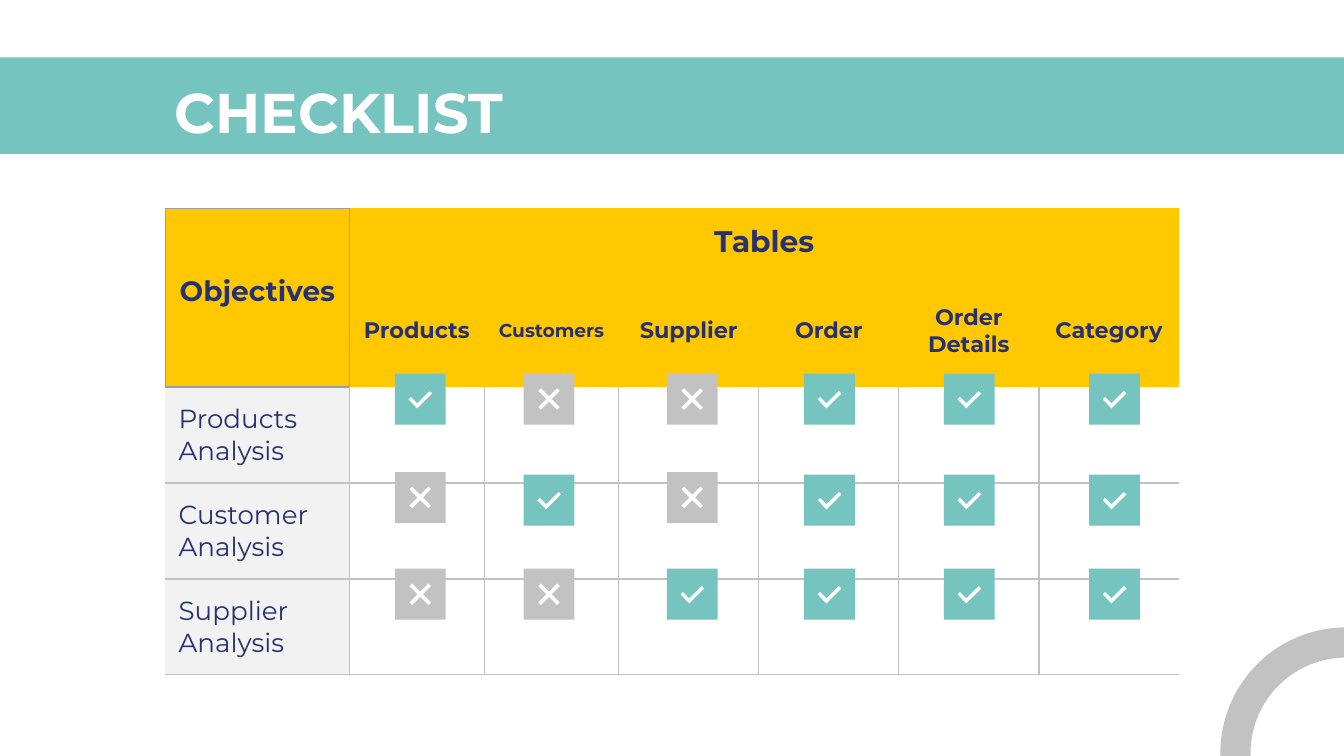
from lxml.etree import SubElement
from pptx import Presentation
from pptx.dml.color import RGBColor
from pptx.enum.shapes import MSO_SHAPE
from pptx.enum.text import MSO_ANCHOR, MSO_AUTO_SIZE, PP_ALIGN
from pptx.oxml.ns import qn
from pptx.util import Pt

COLORS = {"teal": "75C4C0", "gray": "C2C2C2", "dark_gray": "9E9E9E", "yellow": "FFC800",
          "pale": "F2F2F2", "navy": "27316F", "white": "FFFFFF"}
FONT = "Montserrat"

# Icon outlines: the check is measured from the tile corner, the cross from its centre
TILE = 27.3
CHECK = [(18.75, 9.3), (12.1, 15.9), (8.7, 12.5), (7.4, 13.8), (12.1, 18.6), (20.1, 10.65)]
ARM, NOTCH = 5.75, 1.4
TIP = ARM - NOTCH
CROSS = [(TILE / 2 + x, TILE / 2 + y) for x, y in [
    (-TIP, -ARM), (-ARM, -TIP), (-NOTCH, 0), (-ARM, TIP), (-TIP, ARM), (0, NOTCH),
    (TIP, ARM), (ARM, TIP), (NOTCH, 0), (ARM, -TIP), (TIP, -ARM), (0, -NOTCH)]]


def rgb(name):
    return RGBColor.from_string(COLORS[name])


def write(tf, text, size=12, color="navy", bold=True, align=PP_ALIGN.LEFT):
    p = tf.paragraphs[0]
    p.alignment = align
    r = p.add_run()
    r.text = text
    r.font.name, r.font.size, r.font.bold = FONT, Pt(size), bold
    r.font.color.rgb = rgb(color)


class Deck:
    def __init__(self, width, height):
        self.prs = Presentation()
        self.prs.slide_width, self.prs.slide_height = Pt(width), Pt(height)
        self.s = self.prs.slides.add_slide(self.prs.slide_layouts[5])

    def paint(self, sp, color):
        sp.shadow.inherit = False
        sp.fill.solid()
        sp.fill.fore_color.rgb = rgb(color)
        sp.line.fill.background()
        return sp

    def shape(self, kind, x, y, w, h, color, shapes=None):
        if shapes is None:
            shapes = self.s.shapes
        return self.paint(shapes.add_shape(kind, Pt(x), Pt(y), Pt(w), Pt(h)), color)

    def title(self, text, x, y, w, h):
        sp = self.s.shapes.title
        sp.left, sp.top, sp.width, sp.height = Pt(x), Pt(y), Pt(w), Pt(h)
        tf = sp.text_frame
        tf.auto_size, tf.vertical_anchor = MSO_AUTO_SIZE.NONE, MSO_ANCHOR.TOP
        tf.margin_left = tf.margin_right = tf.margin_bottom = Pt(7.2)
        tf.margin_top = Pt(7.8)
        write(tf, text, size=30, color="white")

    def table(self, x, y, widths, heights):
        frame = self.s.shapes.add_table(len(heights), len(widths), Pt(x), Pt(y),
                                        Pt(sum(widths)), Pt(sum(heights)))
        table = frame.table
        table.first_row = table.horz_banding = False
        for column, w in zip(table.columns, widths):
            column.width = Pt(w)
        for row, h in zip(table.rows, heights):
            row.height = Pt(h)
        return table

    def cell(self, cell, fill, edges):
        cell.vertical_anchor = MSO_ANCHOR.MIDDLE
        cell.margin_left = cell.margin_right = cell.margin_top = cell.margin_bottom = Pt(7.2)
        if fill:
            cell.fill.solid()
            cell.fill.fore_color.rgb = rgb(fill)
        else:
            cell.fill.background()
        # Borders come before the fill in the cell properties
        tcPr = cell._tc.get_or_add_tcPr()
        for i, side in enumerate("LRTB"):
            ln = SubElement(tcPr, qn(f"a:ln{side}"), w=str(Pt(0.75)))
            if side in edges:
                line = SubElement(ln, qn("a:solidFill"))
                SubElement(line, qn("a:srgbClr"), val=COLORS[edges[side]])
            else:
                SubElement(ln, qn("a:noFill"))
            tcPr.insert(i, ln)

    def icon(self, x, y, checked):
        shapes = self.s.shapes.add_group_shape().shapes
        self.shape(MSO_SHAPE.RECTANGLE, x, y, TILE, TILE, "teal" if checked else "gray", shapes)
        points = [(Pt(x + dx), Pt(y + dy)) for dx, dy in (CHECK if checked else CROSS)]
        outline = shapes.build_freeform(*points[0])
        outline.add_line_segments(points[1:], close=True)
        self.paint(outline.convert_to_shape(), "white")


def cell_edges(r, c, last):
    if r < 2:
        if c == 0:
            return dict.fromkeys("LRT" if r == 0 else "LRB", "dark_gray")
        return {"L": "dark_gray"} if c == 1 else {}
    edges = {"B": "gray"}
    if c > 0:
        edges["L"] = "gray"
    if c < last:
        edges["R"] = "gray"
    if r > 2:
        edges["T"] = "gray"
    elif c == 0:
        edges["T"] = "dark_gray"
    return edges


def main():
    deck = Deck(720, 405)

    # Banner, corner arc and title
    deck.shape(MSO_SHAPE.RECTANGLE, -12.24, 30.7, 744.5, 51.8, "teal")
    arc = deck.shape(MSO_SHAPE.BLOCK_ARC, 653.8, 336.2, 134.6, 134.6, "gray")
    for i, value in enumerate((106.77, 163.22, 0.12)):
        arc.adjustments[i] = value
    title = deck.s.shapes.title
    deck.s.shapes._spTree.append(title._element)
    deck.title("CHECKLIST", 86.4, 33.8, 609.1, 45.4)

    # Table grid
    widths = [98.8] + [72.1] * 2 + [75.05] * 4
    heights = [35.3, 60.5] + [51.4] * 3
    table = deck.table(88.5, 111.6, widths, heights)
    for r in range(len(heights)):
        for c in range(len(widths)):
            fill = "yellow" if r < 2 else "pale" if c == 0 else None
            deck.cell(table.cell(r, c), fill, cell_edges(r, c, len(widths) - 1))
    table.cell(0, 0).merge(table.cell(1, 0))
    table.cell(0, 1).merge(table.cell(0, 6))

    # Table text
    center = PP_ALIGN.CENTER
    table.cell(0, 0).margin_bottom = Pt(14)
    write(table.cell(0, 0).text_frame, "Objectives", size=15, align=center)
    write(table.cell(0, 1).text_frame, "Tables", size=16, align=center)
    headers = ["Products", "Customers", "Supplier", "Order", "Order Details", "Category"]
    for c, text in enumerate(headers, 1):
        write(table.cell(1, c).text_frame, text, size=10 if text == "Customers" else 12,
              align=center)
    for r, text in enumerate(["Products Analysis", "Customer Analysis", "Supplier Analysis"], 2):
        write(table.cell(r, 0).text_frame, text, size=14, bold=False)

    # Check and cross icons: each row gives its cross top, check top and marks
    lefts = [211.5, 280.5, 357.2, 430.7, 505.6, 583.4]
    rows = [(200.2, 200.2, "vxxvvv"), (252.9, 254.3, "xvxvvv"), (304.7, 304.7, "xxvvvv")]
    for cross_top, check_top, marks in rows:
        for x, mark in zip(lefts, marks):
            checked = mark == "v"
            deck.icon(x, check_top if checked else cross_top, checked)

    deck.prs.save("out.pptx")


if __name__ == "__main__":
    main()
